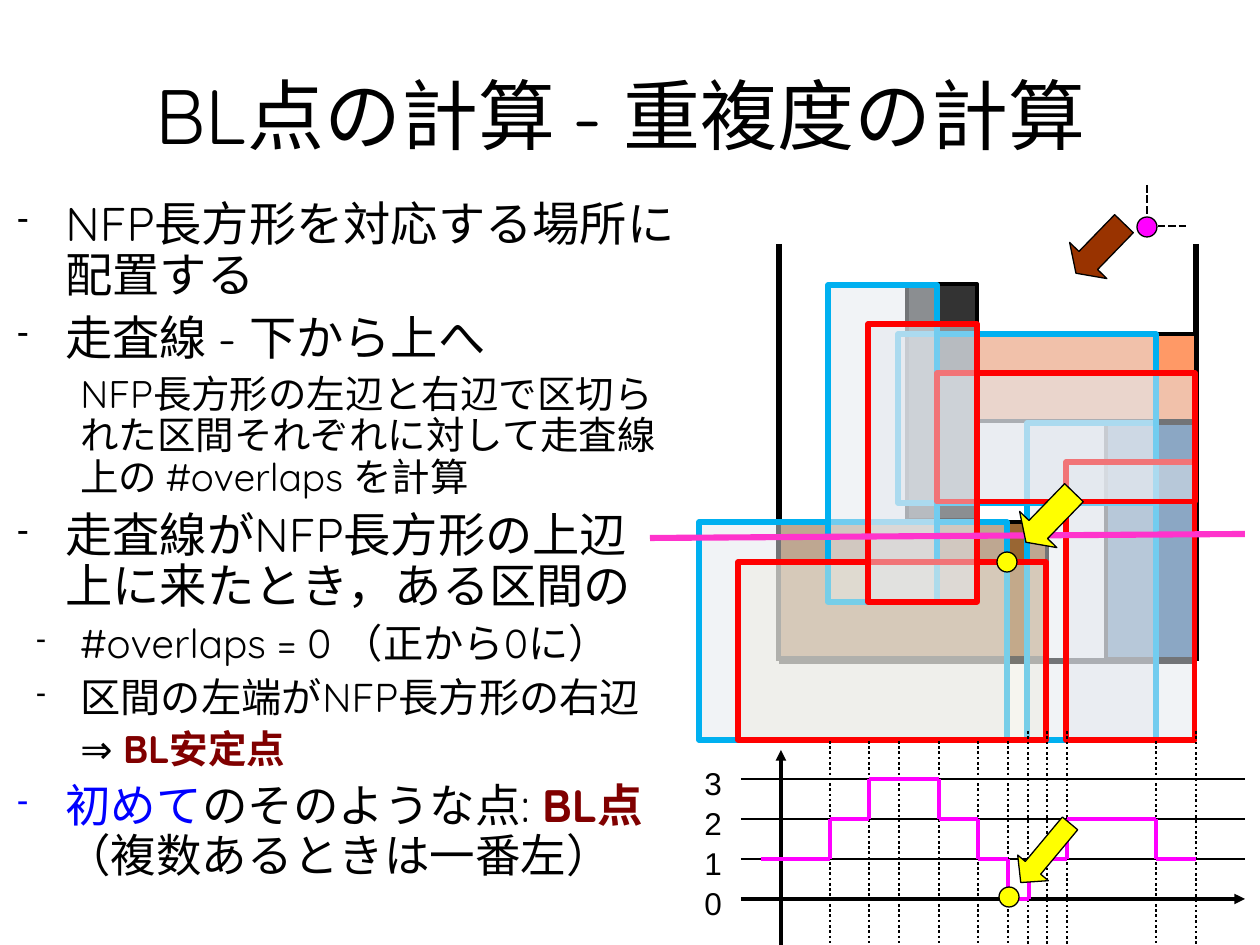
from dataclasses import dataclass
from itertools import pairwise
from typing import Optional

from lxml.etree import SubElement
from pptx import Presentation
from pptx.dml.color import RGBColor
from pptx.enum.dml import MSO_LINE_DASH_STYLE as Dash
from pptx.enum.shapes import MSO_CONNECTOR_TYPE as Connector, MSO_SHAPE as Shape
from pptx.enum.text import MSO_ANCHOR as Anchor, PP_ALIGN as Align
from pptx.oxml.ns import qn
from pptx.util import Emu, Pt


@dataclass(frozen=True)
class Theme:
    black: str = "000000"
    blue: str = "0000FF"
    maroon: str = "800000"
    yellow: str = "FFFF00"
    magenta: str = "FF00FF"
    scan: str = "FF33CC"
    rust: str = "993300"
    cyan: str = "00B0F0"
    red: str = "FF0000"
    mist: str = "E4E9EF"
    sand: str = "EEECE1"
    brown: str = "996633"
    steel: str = "336699"
    charcoal: str = "333333"
    orange: str = "FF9966"
    font: str = "Quicksand"
    label_font: str = "Arial"
    title: int = 44
    main: int = 27
    last: int = 26
    item: int = 23
    detail: int = 22
    label: int = 18


@dataclass(frozen=True)
class Span:
    text: str
    color: str
    bold: bool = False


@dataclass(frozen=True)
class Entry:
    spans: tuple[Span, ...]
    size: int
    before: float
    level: int = 0
    bullet: Optional[str] = None


@dataclass(frozen=True)
class Figure:
    box: tuple[int, int, int, int]
    fill: str
    line: str = "000000"
    width: float = 2
    alpha: Optional[int] = None
    kind: Shape = Shape.RECTANGLE
    turn: float = 0
    head: Optional[float] = None


@dataclass(frozen=True)
class Stroke:
    ends: tuple[int, int, int, int]
    color: str
    width: float
    dash: Optional[Dash] = None
    arrow: bool = False


THEME = Theme()
MARGINS = (48, 63)
HANGS = (48, 44)
AXIS_Y, LEVEL_STEP = 899, 40
PLOT_LEFT, PLOT_RIGHT, PLOT_BOTTOM = 741, 1245, 945
STEP_EDGES = (761, 830, 869, 939, 978, 1008, 1029, 1067, 1156, 1196)
STEP_LEVELS = (1, 2, 3, 2, 1, 0, 1, 2, 1)
GUIDES = {741: (830, 869, 899, 939, 978, 1008, 1156), 731: (1028, 1047, 1067, 1196)}


def plain(text: str, size: int, before: float, level: int = 0, bullet: Optional[str] = THEME.black) -> Entry:
    """Describe a paragraph in a single black span."""
    return Entry((Span(text, THEME.black),), size, before, level, bullet)


ENTRIES = (
    plain("NFP長方形を対応する場所に配置する", THEME.main, 0),
    plain("走査線 - 下から上へ", THEME.main, 6.8),
    plain("NFP長方形の左辺と右辺で区切られた区間それぞれに対して走査線上の #overlaps を計算",
          THEME.detail, 5.5, 1, None),
    plain("走査線がNFP長方形の上辺\n上に来たとき，ある区間の", THEME.main, 6.8),
    plain("#overlaps = 0 （正から0に）", THEME.item, 5.8, 1),
    plain("区間の左端がNFP長方形の右辺", THEME.item, 5.8, 1),
    Entry((Span("⇒ ", THEME.black), Span("BL安定点", THEME.maroon, True)), THEME.detail, 5.5, 1),
    Entry((Span("初めて", THEME.blue), Span("のそのような点: ", THEME.black),
           Span("BL点\n", THEME.maroon, True), Span("（複数あるときは一番左）", THEME.black)),
          THEME.last, 6.5, 0, THEME.blue),
)
PIECES = (
    Figure((779, 522, 268, 136), THEME.brown),
    Figure((1106, 423, 90, 236), THEME.steel),
    Figure((907, 284, 70, 236), THEME.charcoal),
    Figure((978, 334, 218, 87), THEME.orange),
)
CYAN_BOXES = ((699, 522, 308, 218), (1027, 423, 129, 317), (898, 334, 258, 169), (828, 285, 109, 317))
RED_BOXES = ((738, 562, 308, 178), (1066, 462, 129, 278), (937, 373, 258, 129), (868, 324, 109, 278))
TARGET = Figure((1137, 217, 20, 20), THEME.magenta, width=0.75, kind=Shape.OVAL)
MARKERS = (
    Figure((997, 552, 20, 20), THEME.yellow, width=0.75, kind=Shape.OVAL),
    Figure((1024, 483, 52, 69), THEME.yellow, width=0.75, kind=Shape.DOWN_ARROW, turn=44.1, head=0.34),
    Figure((999, 887, 20, 20), THEME.yellow, width=0.75, kind=Shape.OVAL),
    Figure((1007, 833, 77, 40), THEME.yellow, width=0.75, kind=Shape.LEFT_ARROW, turn=309.8, head=0.48),
)


def px(length: int) -> Emu:
    """Turn pixels into EMU."""
    return Emu(round(length * 914400 / 126))


def add_figure(page, figure: Figure) -> None:
    """Draw a filled preset shape."""
    shape = page.shapes.add_shape(figure.kind, *map(px, figure.box))
    shape.shadow.inherit = False
    shape.rotation = figure.turn
    if figure.head is not None:
        shape.adjustments[1] = figure.head
    shape.fill.solid()
    shape.fill.fore_color.rgb = RGBColor.from_string(figure.fill)
    if figure.alpha is not None:
        color = shape.fill._xPr.find(f"{qn('a:solidFill')}/{qn('a:srgbClr')}")
        SubElement(color, qn("a:alpha"), val=str(figure.alpha * 1000))
    shape.line.color.rgb = RGBColor.from_string(figure.line)
    shape.line.width = Pt(figure.width)


def add_stroke(page, stroke: Stroke) -> None:
    """Draw a straight connector."""
    connector = page.shapes.add_connector(Connector.STRAIGHT, *map(px, stroke.ends))
    line = connector.line
    line.color.rgb = RGBColor.from_string(stroke.color)
    line.width = Pt(stroke.width)
    if stroke.dash is not None:
        line.dash_style = stroke.dash
    if stroke.arrow:
        SubElement(line._get_or_add_ln(), qn("a:tailEnd"), type="triangle")
    SubElement(connector._element.spPr, qn("a:effectLst"))


def add_box(page, bounds: tuple[int, int, int, int], wrap: bool = True):
    """Add an empty text box and return its frame."""
    frame = page.shapes.add_textbox(*map(px, bounds)).text_frame
    frame.word_wrap = wrap
    return frame


def set_font(para, name: str, size: int) -> None:
    """Set the font shared by the spans of a paragraph."""
    para.font.name = name
    para.font.size = Pt(size)


def add_line(page, bounds: tuple[int, int, int, int], text: str, name: str, size: int, wrap: bool):
    """Add a one-paragraph black text box and return its frame."""
    frame = add_box(page, bounds, wrap)
    para = frame.paragraphs[0]
    para.text = text
    set_font(para, name, size)
    para.font.color.rgb = RGBColor.from_string(THEME.black)
    return frame


def add_span(para, span: Span) -> None:
    """Append a span, turning newlines into line breaks."""
    for index, text in enumerate(span.text.split("\n")):
        if index:
            para.add_line_break()
        if text:
            run = para.add_run()
            run.text = text
            run.font.bold = span.bold
            run.font.color.rgb = RGBColor.from_string(span.color)


def fill_entry(para, entry: Entry) -> None:
    """Fill a body paragraph."""
    para.level = entry.level
    para.line_spacing = 0.9
    para.space_before = Pt(entry.before)
    props = para._p.get_or_add_pPr()
    props.set("marL", str(px(MARGINS[entry.level])))
    props.set("indent", str(px(-HANGS[entry.level] if entry.bullet else 0)))
    if entry.bullet:
        SubElement(SubElement(props, qn("a:buClr")), qn("a:srgbClr"), val=entry.bullet)
        SubElement(props, qn("a:buSzPct"), val="70000")
        SubElement(props, qn("a:buChar"), char="-")
    set_font(para, THEME.font, entry.size)
    for span in entry.spans:
        add_span(para, span)


def add_texts(page) -> None:
    """Write the title and the body."""
    title = add_line(page, (54, 35, 1134, 158), "BL点の計算 - 重複度の計算", THEME.font, THEME.title, True)
    title.vertical_anchor = Anchor.MIDDLE
    title.paragraphs[0].alignment = Align.CENTER
    body = add_box(page, (5, 194, 684, 735))
    for index, entry in enumerate(ENTRIES):
        fill_entry(body.add_paragraph() if index else body.paragraphs[0], entry)


def add_packing(page) -> None:
    """Draw the container, its pieces and the NFP rectangles."""
    add_figure(page, Figure((1074, 214, 52, 69), THEME.rust, width=0.75, kind=Shape.DOWN_ARROW, turn=44.1, head=0.34))
    for ends in ((1147, 185, 1147, 226), (1147, 226, 1186, 226)):
        add_stroke(page, Stroke(ends, THEME.black, 1.5, Dash.SQUARE_DOT))
    for ends in ((1196, 244, 1196, 661), (779, 244, 779, 661), (779, 661, 1196, 661)):
        add_stroke(page, Stroke(ends, THEME.black, 3.5))
    for piece in PIECES:
        add_figure(page, piece)
    for boxes, line, first_fill in ((CYAN_BOXES, THEME.cyan, THEME.mist), (RED_BOXES, THEME.red, THEME.sand)):
        for index, bounds in enumerate(boxes):
            add_figure(page, Figure(bounds, THEME.mist if index else first_fill, line, 3, 50))
    add_figure(page, TARGET)
    add_stroke(page, Stroke((650, 538, 1245, 534), THEME.scan, 3.5))


def add_plot(page) -> None:
    """Draw the overlap counts along the scan line."""
    add_stroke(page, Stroke((781, PLOT_BOTTOM, 781, 750), THEME.black, 2, arrow=True))
    for level in range(4):
        y = AXIS_Y - level * LEVEL_STEP
        add_stroke(page, Stroke((PLOT_LEFT, y, PLOT_RIGHT, y), THEME.black, 0.75 if level else 2, arrow=not level))
        add_line(page, (692, y - 21, 43, 50), str(level), THEME.label_font, THEME.label, False)
    for top, columns in GUIDES.items():
        for x in columns:
            add_stroke(page, Stroke((x, top, x, PLOT_BOTTOM), THEME.black, 1.5, Dash.ROUND_DOT))
    heights = [AXIS_Y - level * LEVEL_STEP for level in STEP_LEVELS]
    runs = [(left, y, right, y) for (left, right), y in zip(pairwise(STEP_EDGES), heights)]
    rises = [(x, start, x, end) for x, (start, end) in zip(STEP_EDGES[1:], pairwise(heights))]
    for ends in runs + rises:
        add_stroke(page, Stroke(ends, THEME.magenta, 2.5))


def main() -> None:
    """Build the slide and save the deck."""
    deck = Presentation()
    deck.slide_width, deck.slide_height = px(1260), px(945)
    page = deck.slides.add_slide(deck.slide_layouts[6])
    add_texts(page)
    add_packing(page)
    add_plot(page)
    for marker in MARKERS:
        add_figure(page, marker)
    deck.save("out.pptx")


if __name__ == "__main__":
    main()
